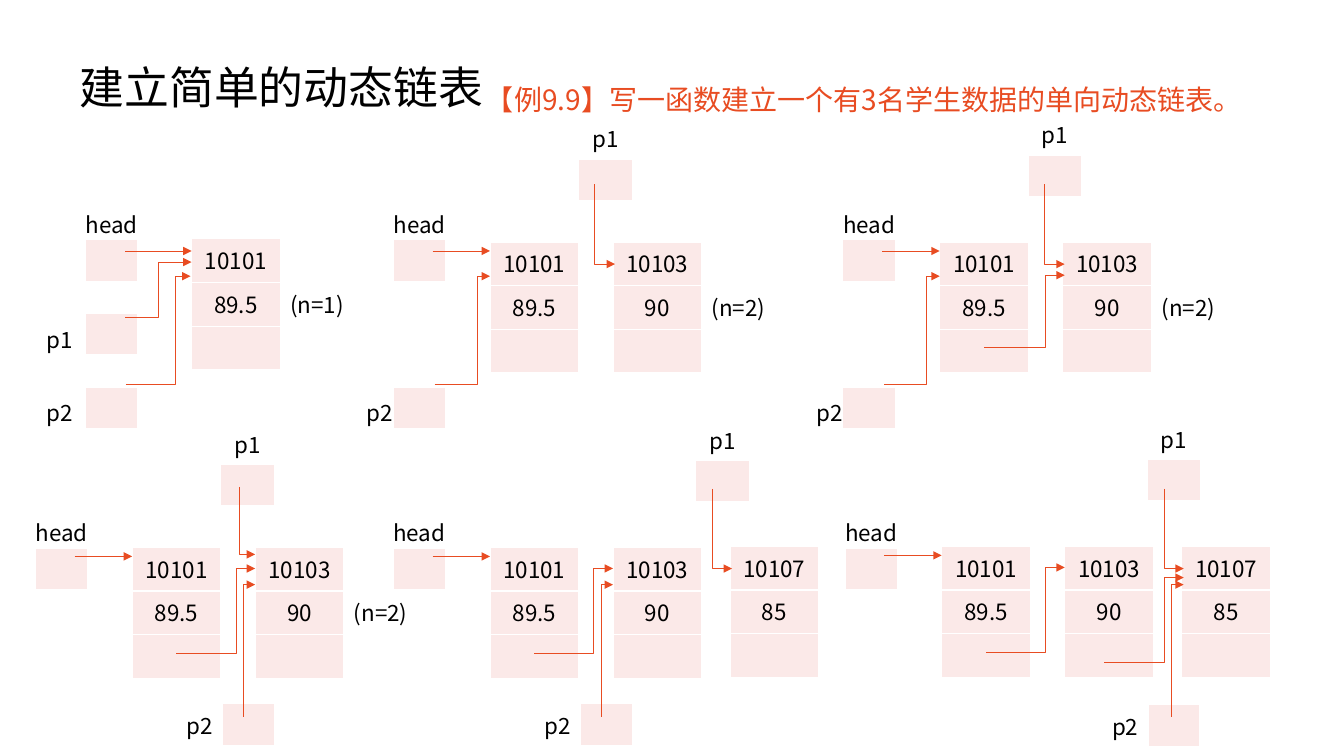
"""Builds a slide showing how a dynamic linked list grows in six steps."""
from lxml import etree
from pptx import Presentation
from pptx.dml.color import RGBColor
from pptx.enum.shapes import MSO_CONNECTOR
from pptx.enum.text import MSO_ANCHOR, MSO_AUTO_SIZE, PP_ALIGN
from pptx.oxml.ns import qn
from pptx.util import Inches, Pt

LEFT, CENTER, RIGHT = PP_ALIGN.LEFT, PP_ALIGN.CENTER, PP_ALIGN.RIGHT
TOP, MIDDLE, BOTTOM = MSO_ANCHOR.TOP, MSO_ANCHOR.MIDDLE, MSO_ANCHOR.BOTTOM
STRAIGHT, ELBOW = MSO_CONNECTOR.STRAIGHT, MSO_CONNECTOR.ELBOW

FONT = "Noto Sans CJK SC"
PLAIN_TABLE = "{2D5ABB26-0587-4C30-8999-92F81FD0307C}"
COLORS = {"text": "000000", "accent": "E84C22", "box": "FBE9E8", "border": "FFFFFF"}
TITLE = "建立简单的动态链表"
EXAMPLE = "【例9.9】写一函数建立一个有3名学生数据的单向动态链表。"

# A leading "#" marks a filled cell.
GAP, BOX = 0.32, 0.41
POINTER_ROWS = [BOX, BOX, GAP, BOX, GAP, BOX]
HEAD_P1_P2 = [["", "head"], ["", "#"], ["", ""], ["p1", "#"], ["", ""], ["p2", "#"]]
HEAD_P2 = [["", "head"], ["", "#"], ["", ""], ["", ""], ["", ""], ["p2", "#"]]
HEAD = [["head"], ["#"], [""], [""], [""], [""]]
P1 = [["p1"], ["#"]]
P2 = [["p2", "#"]]


def node(number, score, count=None):
    rows = [["#" + number], ["#" + score], ["#"]]
    if count:
        rows = [row + [note] for row, note in zip(rows, ["", count, ""])]
    return rows


FIRST, SECOND, THIRD = node("10101", "89.5"), node("10103", "90"), node("10107", "85")
SECOND_N2 = node("10103", "90", "(n=2)")

STYLES = {
    "pointers": dict(cols=[0.52, 0.52], rows=POINTER_ROWS, align=CENTER, anchor=BOTTOM, inset=0),
    "pointers_right": dict(cols=[0.52, 0.52], rows=POINTER_ROWS, align=RIGHT, anchor=BOTTOM, inset=0),
    "head": dict(cols=[0.52], rows=POINTER_ROWS, align=CENTER, anchor=BOTTOM, inset=0),
    "node": dict(cols=[0.88, 0.88], rows=[1.3 / 3] * 3, align=CENTER, anchor=TOP, inset=0.1),
    "p1": dict(cols=[0.53], rows=[BOX, BOX], align=CENTER, anchor=BOTTOM, inset=0.1),
    "p2": dict(cols=[0.55, 0.51], rows=[BOX], align=RIGHT, anchor=TOP, inset=0.1),
}

HEAD_ARROW = (-0.57, 0.09, 0, 0.09, 0)
P2_ARROW = (-0.55, 1.41, -0.13, 0.34, 0)
P1_ARROW = (1.04, -0.57, 1.04, 0.22, 1.24)
P2_UP_ARROW = (1.1, 1.68, 1.1, 0.37, 1.22)
LINK_ARROW = (0.44, 1.05, 1.03, 0.21, 1.22)

STEPS = [
    dict(at=(1.9, 2.37),
         tables=[("pointers", -1.57, -0.4, HEAD_P1_P2),
                 ("node", 0, 0, node("10101", "89.5", "(n=1)"))],
         arrows=[(-0.66, 0.12, 0, 0.12, 0), (-0.66, 0.78, -0.33, 0.23, 0),
                 (-0.65, 1.44, -0.16, 0.37, -0.01)]),
    dict(at=(4.86, 2.4),
         tables=[("pointers_right", -1.48, -0.43, HEAD_P2), ("node", 0, 0, FIRST),
                 ("node", 1.22, 0, SECOND_N2), ("p1", 0.88, -1.24, P1)],
         arrows=[HEAD_ARROW, P2_ARROW, P1_ARROW]),
    dict(at=(9.32, 2.4),
         tables=[("pointers_right", -1.48, -0.43, HEAD_P2), ("node", 0, 0, FIRST),
                 ("node", 1.22, 0, SECOND_N2), ("p1", 0.88, -1.28, P1)],
         arrows=[HEAD_ARROW, P2_ARROW, P1_ARROW, (0.44, 1.05, 1.05, 0.33, 1.24)]),
    dict(at=(1.31, 5.43),
         tables=[("head", -0.96, -0.4, HEAD), ("node", 0, 0, FIRST),
                 ("node", 1.22, 0, SECOND_N2), ("p1", 0.88, -1.24, P1), ("p2", 0.35, 1.55, P2)],
         arrows=[HEAD_ARROW, (1.06, -0.6, 1.06, 0.07, 1.22), LINK_ARROW, P2_UP_ARROW]),
    dict(at=(4.86, 5.43),
         tables=[("head", -0.96, -0.4, HEAD), ("node", 0, 0, FIRST), ("node", 1.22, 0, SECOND),
                 ("node", 2.38, -0.01, THIRD), ("p1", 2.04, -1.28, P1), ("p2", 0.35, 1.55, P2)],
         arrows=[HEAD_ARROW, LINK_ARROW, P2_UP_ARROW, (2.21, -0.58, 2.21, 0.21, 2.4)]),
    dict(at=(9.34, 5.42),
         tables=[("head", -0.96, -0.39, HEAD), ("node", 0, 0, FIRST), ("node", 1.22, 0, SECOND),
                 ("node", 2.38, 0, THIRD), ("p1", 2.04, -1.28, P1), ("p2", 1.5, 1.57, P2)],
         arrows=[HEAD_ARROW, LINK_ARROW, (2.28, 1.69, 2.28, 0.38, 2.4),
                 (2.21, -0.57, 2.21, 0.22, 2.4), (1.61, 1.15, 2.21, 0.31, 2.4)]),
]


def format_text(p, size, color):
    for r in p.runs:
        r.font.size = Pt(size)
        r.font.color.rgb = RGBColor.from_string(COLORS[color])
        r.font.name = FONT
        etree.SubElement(r.font._element, qn("a:ea"), typeface=FONT)


def fill_placeholder(shape, box, text, size, color, anchor, spacing):
    shape.left, shape.top, shape.width, shape.height = map(Inches, box)
    tf = shape.text_frame
    tf.text = text
    tf.word_wrap = True
    tf.auto_size = MSO_AUTO_SIZE.NONE
    tf.vertical_anchor = anchor
    p = tf.paragraphs[0]
    p.alignment = LEFT
    p.line_spacing = spacing
    format_text(p, size, color)
    return p


def format_cell(cell, text, align, anchor, inset):
    cell.margin_left = cell.margin_right = Inches(inset)
    cell.margin_top = cell.margin_bottom = Inches(inset / 2)
    cell.vertical_anchor = anchor
    cell.text = text.lstrip("#")
    p = cell.text_frame.paragraphs[0]
    p.alignment = LEFT if text.startswith("(") else align
    format_text(p, 16, "text")
    if not p.runs:
        etree.SubElement(p._p, qn("a:endParaRPr"), sz="1600")
    if not text.startswith("#"):
        cell.fill.background()
        return
    for side in ("lnL", "lnR", "lnT", "lnB"):
        ln = etree.SubElement(cell._tc.get_or_add_tcPr(), qn("a:" + side), w=str(Pt(1)))
        solid = etree.SubElement(ln, qn("a:solidFill"))
        etree.SubElement(solid, qn("a:srgbClr"), val=COLORS["border"])
    cell.fill.solid()
    cell.fill.fore_color.rgb = RGBColor.from_string(COLORS["box"])


def add_boxes(s, x, y, cells, cols, rows, align, anchor, inset):
    cols = cols[:len(cells[0])]
    frame = s.shapes.add_table(len(rows), len(cols), Inches(x), Inches(y),
                               Inches(sum(cols)), Inches(sum(rows)))
    table = frame.table
    table.first_row = table.horz_banding = False
    table._tbl.tblPr.find(qn("a:tableStyleId")).text = PLAIN_TABLE
    for column, width in zip(table.columns, cols):
        column.width = Inches(width)
    for i, (height, texts) in enumerate(zip(rows, cells)):
        table.rows[i].height = Inches(height)
        for j, text in enumerate(texts):
            format_cell(table.cell(i, j), text, align, anchor, inset)


def add_arrow(s, x, y, route):
    x0, y0, turn, y1, x1 = route
    corners = dict.fromkeys([(x0, y0), (turn, y0), (turn, y1), (x1, y1)])
    points = [(Inches(x + dx), Inches(y + dy)) for dx, dy in corners]
    if y0 == y1 or turn == (x0 + x1) / 2:
        kind = STRAIGHT if y0 == y1 else ELBOW
        shape = s.shapes.add_connector(kind, *points[0], *points[-1])
        etree.SubElement(shape._element.spPr, qn("a:effectLst"))
    else:
        builder = s.shapes.build_freeform(*points[0])
        builder.add_line_segments(points[1:], close=False)
        shape = builder.convert_to_shape()
        shape.fill.background()
        shape.shadow.inherit = False
    shape.line.color.rgb = RGBColor.from_string(COLORS["accent"])
    shape.line.width = Pt(0.5)
    etree.SubElement(shape.line._get_or_add_ln(), qn("a:tailEnd"), type="triangle")


def main():
    prs = Presentation()
    prs.slide_width, prs.slide_height = Inches(13.33), Inches(7.5)
    s = prs.slides.add_slide(prs.slide_layouts[1])
    fill_placeholder(s.shapes.title, (0.69, 0.37, 11.5, 1.04), TITLE, 32, "text", MIDDLE, 0.9)
    p = fill_placeholder(s.placeholders[1], (4.72, 0.7, 7.79, 0.6), EXAMPLE, 20, "accent", TOP, 1.2)
    p.space_before = Pt(10)
    pPr = p._p.get_or_add_pPr()
    pPr.set("marL", str(Inches(0.1)))
    pPr.set("indent", str(-Inches(0.1)))
    etree.SubElement(pPr, qn("a:buNone"))
    for step in STEPS:
        x, y = step["at"]
        for style, dx, dy, cells in step["tables"]:
            add_boxes(s, x + dx, y + dy, cells, **STYLES[style])
        for route in step["arrows"]:
            add_arrow(s, x, y, route)
    prs.save("out.pptx")


if __name__ == "__main__":
    main()
